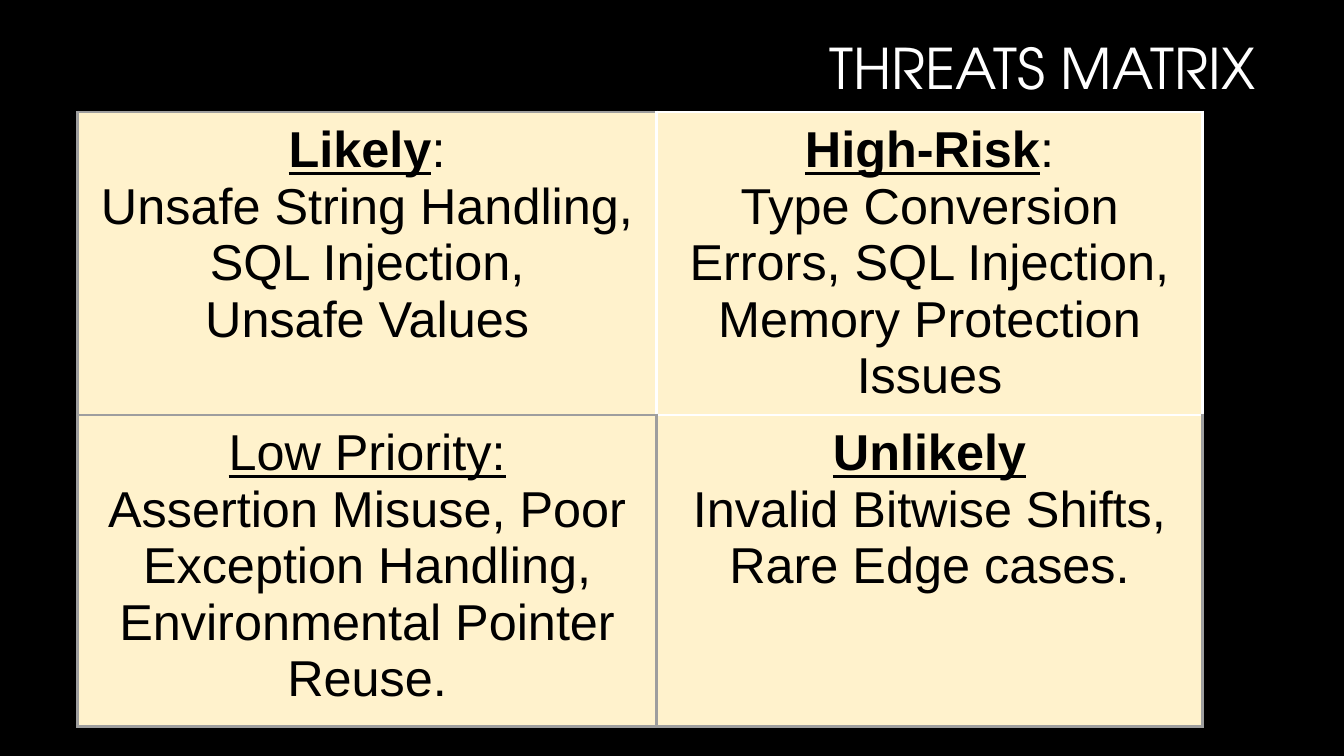
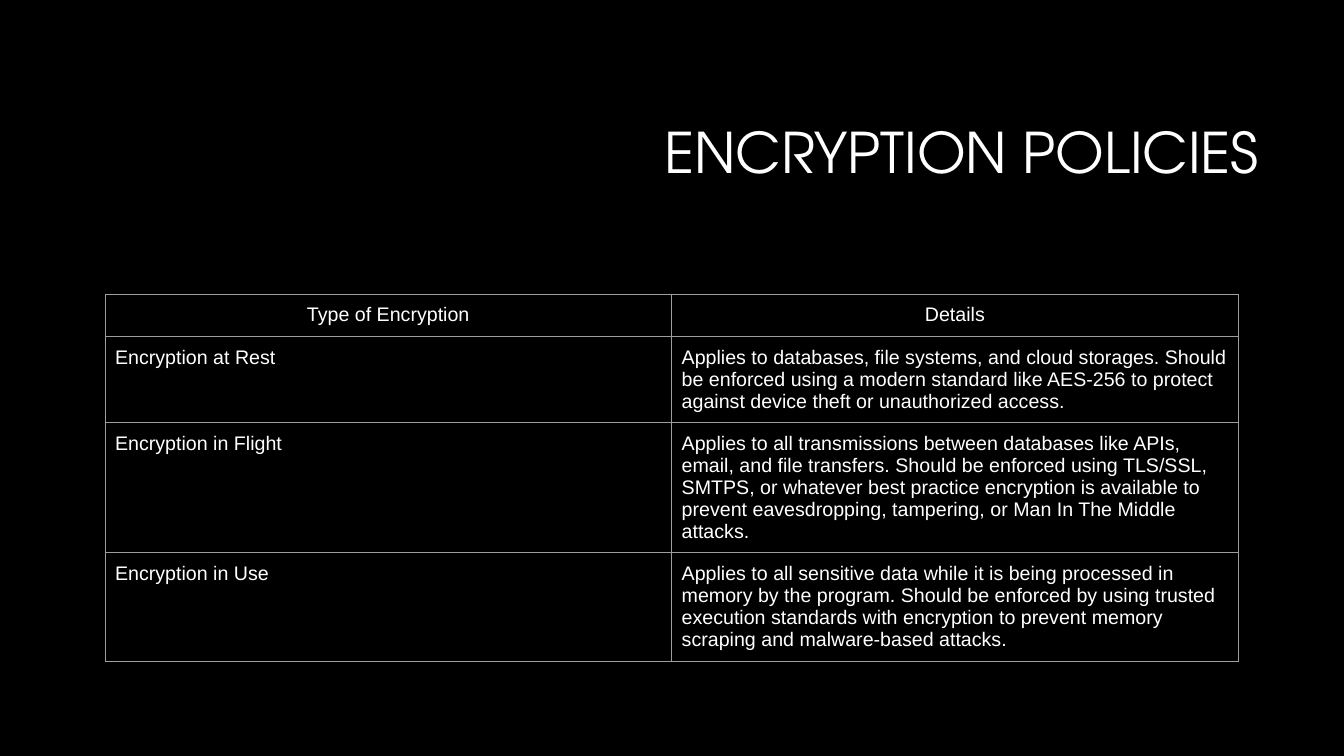
import pptx
import pptx.dml.color
import pptx.enum.text
import pptx.oxml
import pptx.oxml.ns
import pptx.util

Pt = pptx.util.Pt
ALIGN = pptx.enum.text.PP_ALIGN
COLOURS = {"page": "000000", "light": "FFFFFF", "ink": "000000",
           "cream": "FFF2CC", "grid": "9E9E9E"}
TITLE_FONT, BODY_FONT = "TeX Gyre Adventor", "Arial"
TITLE_ONLY = 5
CELL_MARGIN = Pt(7.2)

# Each quadrant: heading, suffix, heading is bold, lines
THREATS = [
    [("Likely", ":", True,
      ["Unsafe String Handling,", "SQL Injection,", "Unsafe Values"]),
     ("High-Risk", ":", True,
      ["Type Conversion Errors, SQL Injection, Memory Protection Issues"])],
    [("Low Priority:", "", False,
      ["Assertion Misuse, Poor Exception Handling, Environmental Pointer Reuse."]),
     ("Unlikely", "", True,
      ["Invalid Bitwise Shifts,", "Rare Edge cases."])],
]
HIGH_RISK = (0, 1)

POLICIES = [
    ("Type of Encryption", "Details"),
    ("Encryption at Rest",
     "Applies to databases, file systems, and cloud storages. Should be enforced "
     "using a modern standard like AES-256 to protect against device theft or "
     "unauthorized access."),
    ("Encryption in Flight",
     "Applies to all transmissions between databases like APIs, email, and file "
     "transfers. Should be enforced using TLS/SSL, SMTPS, or whatever best practice "
     "encryption is available to prevent eavesdropping, tampering, or Man In The "
     "Middle attacks."),
    ("Encryption in Use",
     "Applies to all sensitive data while it is being processed in memory by the "
     "program. Should be enforced by using trusted execution standards with "
     "encryption to prevent memory scraping and malware-based attacks."),
]


def colour(name):
    """Return the named colour as an RGB value."""
    return pptx.dml.color.RGBColor.from_string(COLOURS[name])


def style_para(para, font_name, size, colour_name, align):
    """Set the font and alignment of a whole paragraph."""
    para.alignment = align
    para.font.name = font_name
    para.font.size = Pt(size)
    para.font.color.rgb = colour(colour_name)


def add_page(deck, title, left, top):
    """Add a title-only page with its title placed and styled."""
    page = deck.slides.add_slide(deck.slide_layouts[TITLE_ONLY])
    box = page.shapes.title
    box.left, box.top, box.width, box.height = Pt(left), Pt(top), Pt(678), Pt(101.5)
    box.text_frame.text = title
    box.text_frame.word_wrap = True
    box.text_frame.vertical_anchor = pptx.enum.text.MSO_ANCHOR.MIDDLE
    para = box.text_frame.paragraphs[0]
    para.line_spacing = 0.9
    style_para(para, TITLE_FONT, 40, "light", ALIGN.RIGHT)
    return page


def add_grid(page, left, top, widths, heights):
    """Add an unbanded table with the given column widths and row heights."""
    table = page.shapes.add_table(
        len(heights), len(widths), Pt(left), Pt(top),
        Pt(sum(widths)), Pt(sum(heights))).table
    table.first_row = table.horz_banding = False
    for column, width in zip(table.columns, widths):
        column.width = Pt(width)
    for row, height in zip(table.rows, heights):
        row.height = Pt(height)
    for cell in table.iter_cells():
        cell.margin_left = cell.margin_right = CELL_MARGIN
        cell.margin_top = cell.margin_bottom = CELL_MARGIN
    return table


def set_borders(cell, width, **sides):
    """Draw the four borders of a cell, grey unless a side names a colour."""
    properties = cell._tc.get_or_add_tcPr()
    for side in "LRTB":
        value = COLOURS[sides.get(side, "grid")]
        properties.append(pptx.oxml.parse_xml(
            f'<a:ln{side} {pptx.oxml.ns.nsdecls("a")} w="{Pt(width)}">'
            f'<a:solidFill><a:srgbClr val="{value}"/></a:solidFill></a:ln{side}>'))


def fill_quadrant(cell, heading, suffix, bold, lines):
    """Write an underlined heading and its lines into a quadrant."""
    frame = cell.text_frame
    para = frame.paragraphs[0]
    span = para.add_run()
    span.text = heading
    span.font.bold, span.font.underline = bold, True
    if suffix:
        para.add_run().text = suffix
    for line in lines:
        frame.add_paragraph().text = line
    for para in frame.paragraphs:
        style_para(para, BODY_FONT, 36, "ink", ALIGN.CENTER)


def add_threats_page(deck):
    """Build the page with the two-by-two threats matrix."""
    page = add_page(deck, "THREATS MATRIX", 226, 0)
    table = add_grid(page, 55.5, 80, [413.5, 390], [216.5, 222.5])
    neighbours = {"L": (0, -1), "R": (0, 1), "T": (-1, 0), "B": (1, 0)}
    for row, quadrants in enumerate(THREATS):
        for column, quadrant in enumerate(quadrants):
            cell = table.cell(row, column)
            fill_quadrant(cell, *quadrant)
            white = {side: "light" for side, (down, right) in neighbours.items()
                     if HIGH_RISK in ((row, column), (row + down, column + right))}
            set_borders(cell, 2.25, **white)
            cell.fill.solid()
            cell.fill.fore_color.rgb = colour("cream")


def add_policies_page(deck):
    """Build the page with the table of encryption policies."""
    page = add_page(deck, "ENCRYPTION POLICIES", 228.5, 60.5)
    table = add_grid(page, 75, 210, [404.75] * 2, [30, 61.5, 93, 77])
    for row, texts in enumerate(POLICIES):
        for column, text in enumerate(texts):
            cell = table.cell(row, column)
            cell.text = text
            style_para(cell.text_frame.paragraphs[0], BODY_FONT, 14, "light",
                       ALIGN.LEFT if row else ALIGN.CENTER)
            set_borders(cell, 0.75)
            cell.fill.background()


def main():
    """Build and save the deck."""
    deck = pptx.Presentation()
    deck.slide_width, deck.slide_height = Pt(960), Pt(540)
    backdrop = deck.slide_master.background.fill
    backdrop.solid()
    backdrop.fore_color.rgb = colour("page")
    add_threats_page(deck)
    add_policies_page(deck)
    deck.save("out.pptx")


if __name__ == "__main__":
    main()
